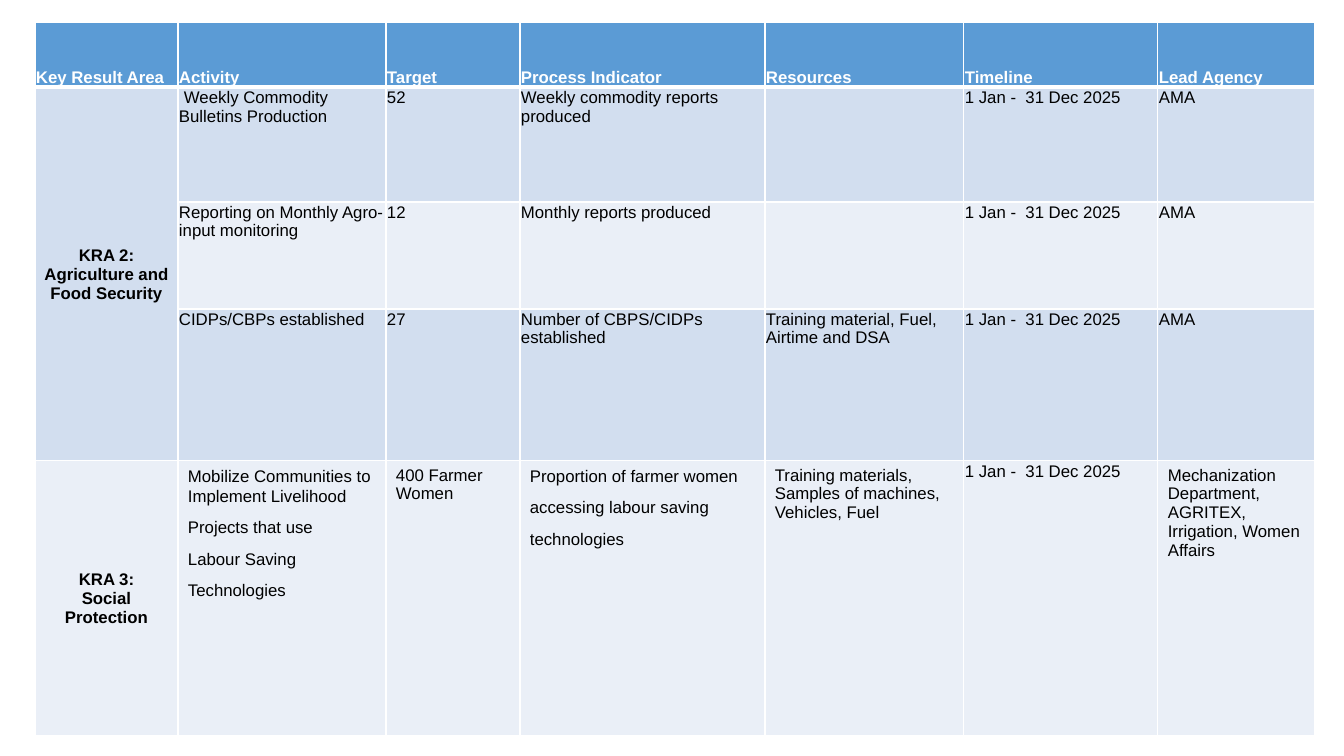
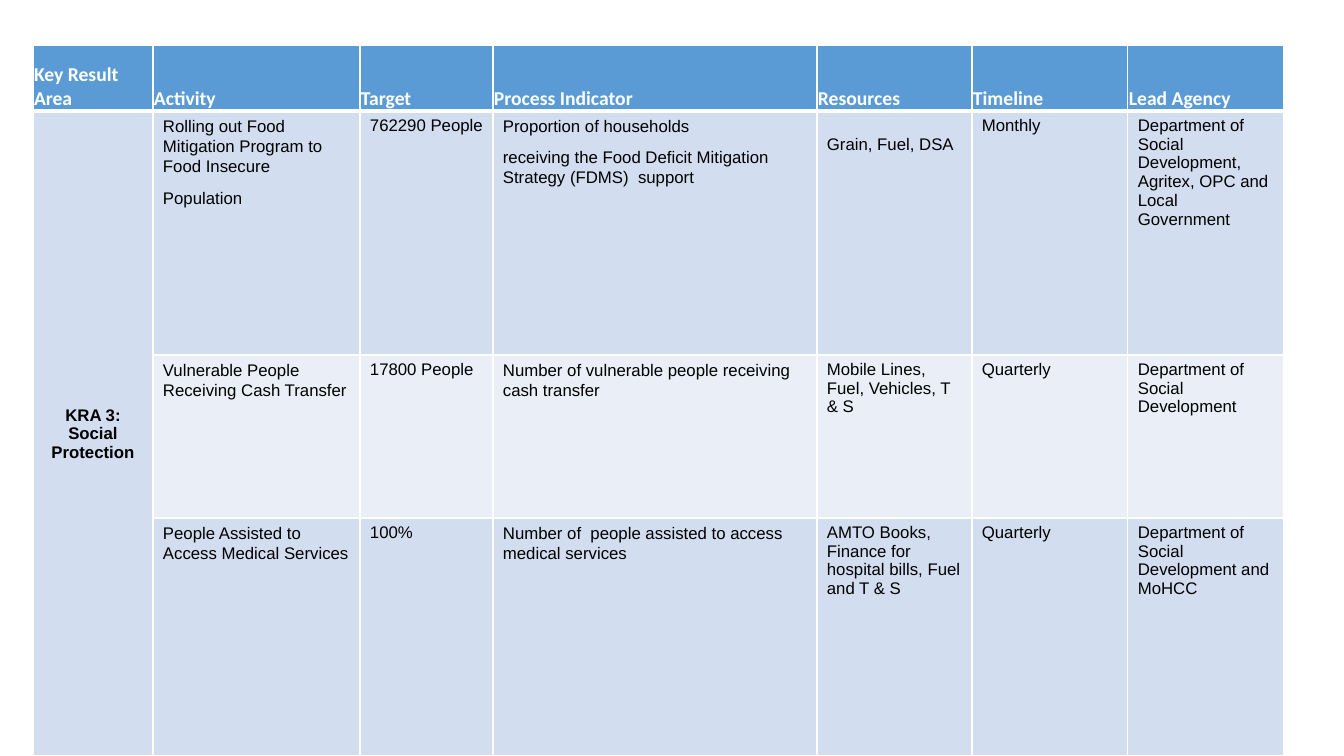
import pptx
import pptx.dml.color
import pptx.enum.text
import pptx.oxml
import pptx.oxml.ns
import pptx.util

PX = 914400 / 100.8
ANCHOR = pptx.enum.text.MSO_ANCHOR
ALIGN = pptx.enum.text.PP_ALIGN
COLOURS = {
    "header": "5B9BD5",
    "band": "D2DEEF",
    "pale band": "EAEFF7",
    "border": "FFFFFF",
    "header text": "FFFFFF",
    "text": "000000",
}
HEADINGS = ["Key Result Area", "Activity", "Target", "Process Indicator",
            "Resources", "Timeline", "Lead Agency"]
PERIOD = "1 Jan -  31 Dec 2025"
SOCIAL_PROTECTION = "KRA 3:\nSocial Protection"


def px(length):
    return pptx.util.Emu(round(length * PX))


def margins(left, top, right, bottom):
    return {"margin_left": px(left), "margin_top": px(top),
            "margin_right": px(right), "margin_bottom": px(bottom)}


NARROW = margins(1, 1, 1, 0)
WIDE = margins(10, 5, 10, 5)
TOP = {"vertical_anchor": ANCHOR.TOP}
MIDDLE = {"vertical_anchor": ANCHOR.MIDDLE}
LEFT = {"alignment": ALIGN.LEFT}
CENTRE = {"alignment": ALIGN.CENTER}
AIRY = {**LEFT, "line_spacing": 1.07, "space_after": pptx.util.Pt(8)}
BODY = {"name": "Arial", "size": pptx.util.Pt(12), "bold": False}
BOLD = {**BODY, "bold": True}
FORMATS = {
    "header": ({**NARROW, "vertical_anchor": ANCHOR.BOTTOM}, LEFT, BOLD),
    "area": ({**NARROW, **MIDDLE}, CENTRE, BOLD),
    "wide area": ({**WIDE, **MIDDLE}, CENTRE, BOLD),
    "narrow": ({**NARROW, **TOP}, LEFT, BODY),
    "indented": ({**NARROW, **TOP}, LEFT, BODY),
    "wide": ({**WIDE, **TOP}, LEFT, BODY),
    "lowered": ({**WIDE, **TOP, "margin_top": px(24)}, LEFT, BODY),
    "airy": ({**WIDE, **TOP}, AIRY, BODY),
}
NARROW_ROW = ["area"] + ["narrow"] * 6
WIDE_ROW = ["area", "airy", "wide", "airy", "wide", "wide", "wide"]


def apply(target, values):
    for attribute, value in values.items():
        setattr(target, attribute, value)


class WorkPlan:
    """Builds work plan slides in one shared table style."""

    def __init__(self):
        self.deck = pptx.Presentation()
        self.deck.slide_width, self.deck.slide_height = px(1344), px(756)
        self.slide = None

    def add_slide(self):
        self.slide = self.deck.slides.add_slide(self.deck.slide_layouts[6])

    def borders(self, cell, widths):
        properties = cell._tc.get_or_add_tcPr()
        for side, points in zip("LRTB", widths):
            properties.append(pptx.oxml.parse_xml(
                f'<a:ln{side} {pptx.oxml.ns.nsdecls("a")} w="{pptx.util.Pt(points)}">'
                f'<a:solidFill><a:srgbClr val="{COLOURS["border"]}"/></a:solidFill>'
                f'</a:ln{side}>'))

    def cell(self, cell, text, style, fill, ink, font_changes):
        cell_values, paragraph_values, font_values = FORMATS[style]
        apply(cell, cell_values)
        cell.fill.solid()
        cell.fill.fore_color.rgb = pptx.dml.color.RGBColor.from_string(COLOURS[fill])
        if not text:
            return
        cell.text = text
        for paragraph in cell.text_frame.paragraphs:
            apply(paragraph, paragraph_values)
            if style == "indented":
                paragraph._p.get_or_add_pPr().set("indent", str(px(5)))
            for run in paragraph.runs:
                apply(run.font, {**font_values, **font_changes})
                run.font.color.rgb = pptx.dml.color.RGBColor.from_string(COLOURS[ink])

    def table(self, left, top, widths, heights, rows, header_font):
        table = self.slide.shapes.add_table(
            len(heights), len(widths), px(left), px(top),
            px(sum(widths)), px(sum(heights))).table
        table.horz_banding = False
        for column, width in zip(table.columns, widths):
            column.width = px(width)
        for row, height in zip(table.rows, heights):
            row.height = px(height)
        plan = [(HEADINGS, ["header"] * len(HEADINGS))] + rows
        for r, (texts, styles) in enumerate(plan):
            for c, (text, style) in enumerate(zip(texts, styles)):
                header = r == 0
                fill = "header" if header else "band" if r % 2 else "pale band"
                cell = table.cell(r, c)
                self.borders(cell, (1, 1, 3 if r == 1 else 1, 3 if header else 1))
                self.cell(cell, text, style, fill,
                          "header text" if header else "text",
                          header_font if header else {})
        table.cell(1, 0).merge(table.cell(3, 0))


def main():
    plan = WorkPlan()

    plan.add_slide()
    plan.table(
        35, 22, [143, 208, 134, 245, 199, 194, 157], [65, 115, 107, 152, 275],
        [
            (["KRA 2: Agriculture and Food Security",
              "Weekly Commodity Bulletins Production", "52",
              "Weekly commodity reports produced", "", PERIOD, "AMA"],
             ["area", "indented"] + NARROW_ROW[2:]),
            (["", "Reporting on Monthly Agro-input monitoring", "12",
              "Monthly reports produced", "", PERIOD, "AMA"], NARROW_ROW),
            (["", "CIDPs/CBPs established", "27",
              "Number of CBPS/CIDPs established",
              "Training material, Fuel, Airtime and DSA", PERIOD, "AMA"], NARROW_ROW),
            ([SOCIAL_PROTECTION,
              "Mobilize Communities to Implement Livelihood\nProjects that use\n"
              "Labour Saving\nTechnologies",
              "400 Farmer Women",
              "Proportion of farmer women\naccessing labour saving\ntechnologies",
              "Training materials,\nSamples of machines, Vehicles, Fuel", PERIOD,
              "Mechanization Department, AGRITEX, Irrigation, Women Affairs"],
             ["wide area"] + WIDE_ROW[1:5] + ["narrow", "wide"]),
        ],
        {})

    plan.add_slide()
    plan.table(
        33, 45, [120, 207, 133, 324, 155, 156, 156], [66, 244, 163, 238],
        [
            ([SOCIAL_PROTECTION,
              "Rolling out Food Mitigation Program to Food Insecure\nPopulation",
              "762290 People",
              "Proportion of households\n"
              "receiving the Food Deficit Mitigation Strategy (FDMS)  support",
              "Grain, Fuel, DSA", "Monthly",
              "Department of Social Development, Agritex, OPC and  Local Government"],
             WIDE_ROW[:4] + ["lowered"] + WIDE_ROW[5:]),
            (["", "Vulnerable People Receiving Cash Transfer", "17800 People",
              "Number of vulnerable people receiving cash transfer",
              "Mobile Lines, Fuel, Vehicles, T & S", "Quarterly",
              "Department of Social Development"], WIDE_ROW),
            (["", "People Assisted to Access Medical Services", "100%",
              "Number of  people assisted to access medical services",
              "AMTO Books, Finance for hospital bills, Fuel and T & S", "Quarterly",
              "Department of Social Development and MoHCC"], WIDE_ROW),
        ],
        {"name": "Calibri", "size": pptx.util.Pt(14)})

    plan.deck.save("out.pptx")


if __name__ == "__main__":
    main()
